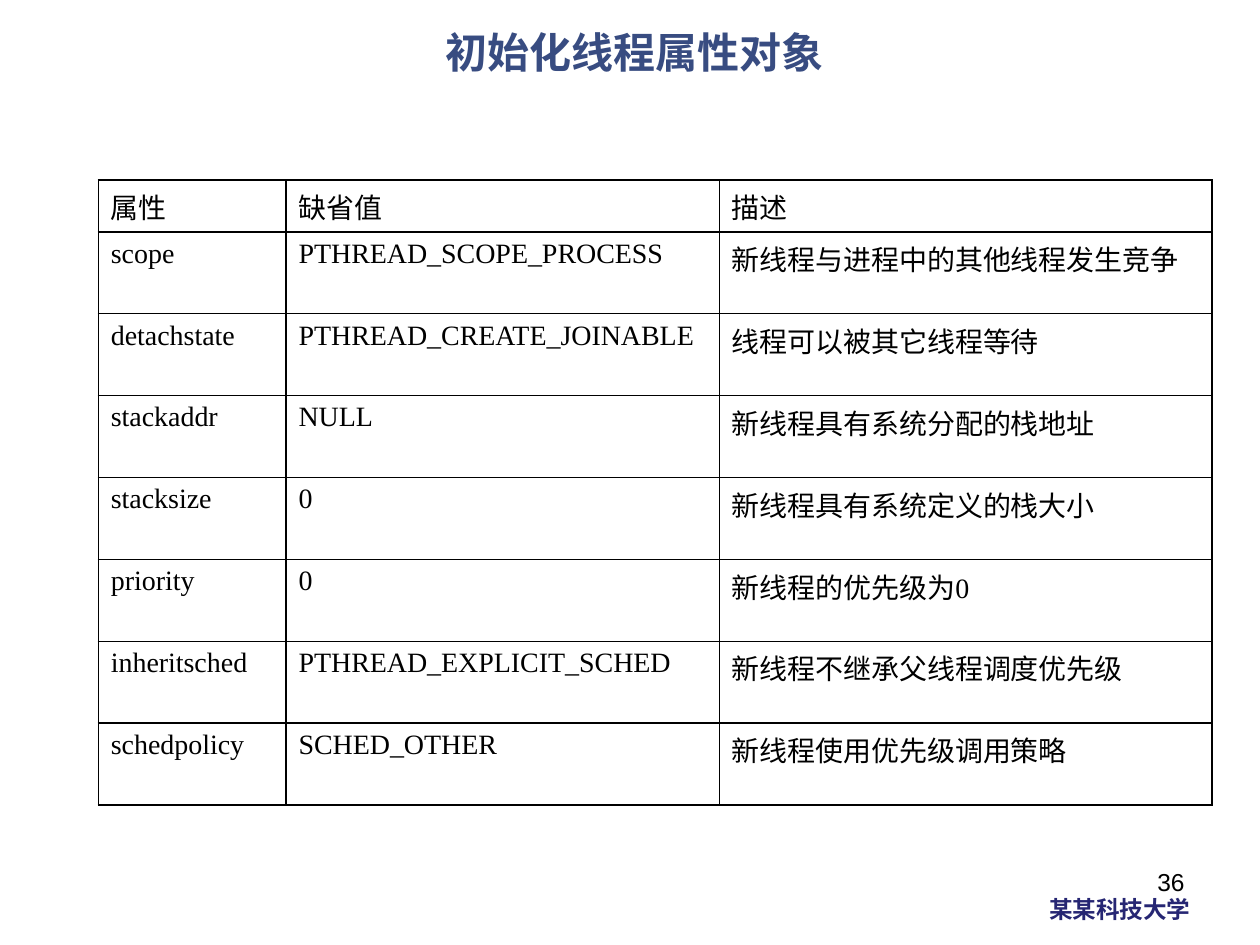
from dataclasses import dataclass

from lxml.etree import SubElement
from pptx import Presentation
from pptx.dml.color import RGBColor as Rgb
from pptx.enum.text import MSO_ANCHOR as Anchor, PP_ALIGN as Align
from pptx.oxml import parse_xml
from pptx.oxml.ns import nsdecls, qn
from pptx.slide import Slide
from pptx.util import Inches, Pt

COLORS = {"text": "000000", "title": "384C81", "school": "262673", "border": "000000"}
CJK = "Noto Sans CJK SC"
COLUMNS = [1.49, 3.44, 3.91]
HEADER_HEIGHT, ROW_HEIGHT = 0.41, 0.65
ROWS = [
    ("属性", "缺省值", "描述"),
    ("scope", "PTHREAD_SCOPE_PROCESS", "新线程与进程中的其他线程发生竞争"),
    ("detachstate", "PTHREAD_CREATE_JOINABLE", "线程可以被其它线程等待"),
    ("stackaddr", "NULL", "新线程具有系统分配的栈地址"),
    ("stacksize", "0", "新线程具有系统定义的栈大小"),
    ("priority", "0", "新线程的优先级为0"),
    ("inheritsched", "PTHREAD_EXPLICIT_SCHED", "新线程不继承父线程调度优先级"),
    ("schedpolicy", "SCHED_OTHER", "新线程使用优先级调用策略"),
]


@dataclass
class SlideBuilder:
    """Draws styled text and tables on the current slide."""

    page: Slide
    colors: dict
    cjk: str = CJK
    hanging: float = 0.37
    border: float = 1

    def span(self, para, text, size, font, color, bold=False):
        span = para.add_run()
        span.text = text
        span.font.size = Pt(size)
        span.font.name = font
        span.font.bold = bold
        span.font.color.rgb = Rgb.from_string(self.colors[color])
        east_asian = SubElement(span.font._element, qn("a:ea"))
        east_asian.set("typeface", self.cjk)

    def text(self, box, text, size, font, color, bold=False, align=Align.LEFT, wrap=True, spacing=1.0):
        frame = self.page.shapes.add_textbox(*map(Inches, box)).text_frame
        frame.word_wrap = wrap
        frame.vertical_anchor = Anchor.TOP
        para = frame.paragraphs[0]
        para.alignment = align
        para.line_spacing = spacing
        self.span(para, text, size, font, color, bold)

    def cell(self, cell, text):
        cell.fill.background()
        properties = cell._tc.get_or_add_tcPr()
        for index, side in enumerate("LRTB"):
            properties.insert(index, parse_xml(
                f'<a:ln{side} {nsdecls("a")} w="{Pt(self.border)}"><a:solidFill>'
                f'<a:srgbClr val="{self.colors["border"]}"/></a:solidFill></a:ln{side}>'))
        para = cell.text_frame.paragraphs[0]
        indent = para._p.get_or_add_pPr()
        indent.set("marL", str(Inches(self.hanging)))
        indent.set("indent", str(-Inches(self.hanging)))
        self.span(para, text, 16, "Times New Roman", "text")

    def table(self, left, top, columns, heights, rows):
        box = (left, top, sum(columns), sum(heights))
        table = self.page.shapes.add_table(len(rows), len(columns), *map(Inches, box)).table
        table.first_row = table.horz_banding = False
        for column, width in zip(table.columns, columns):
            column.width = Inches(width)
        for row, height, texts in zip(table.rows, heights, rows):
            row.height = Inches(height)
            for cell, text in zip(row.cells, texts):
                self.cell(cell, text)


def main():
    deck = Presentation()
    deck.slide_width, deck.slide_height = Inches(10), Inches(7.5)
    builder = SlideBuilder(deck.slides.add_slide(deck.slide_layouts[6]), COLORS)
    builder.text((8.23, 7.05, 1.34, 0.33), "某某科技大学", 13.5, CJK, "school", bold=True, wrap=False)
    heights = [HEADER_HEIGHT] + [ROW_HEIGHT] * (len(ROWS) - 1)
    builder.table(0.78, 1.43, COLUMNS, heights, ROWS)
    builder.text((1.06, 0.21, 8.02, 0.6), "初始化线程属性对象 ", 24, CJK, "title",
                 bold=True, align=Align.CENTER, spacing=0.9)
    builder.text((7.17, 6.83, 2.33, 0.52), "36", 14, "Arial", "text", align=Align.RIGHT)
    deck.save("out.pptx")


if __name__ == "__main__":
    main()
